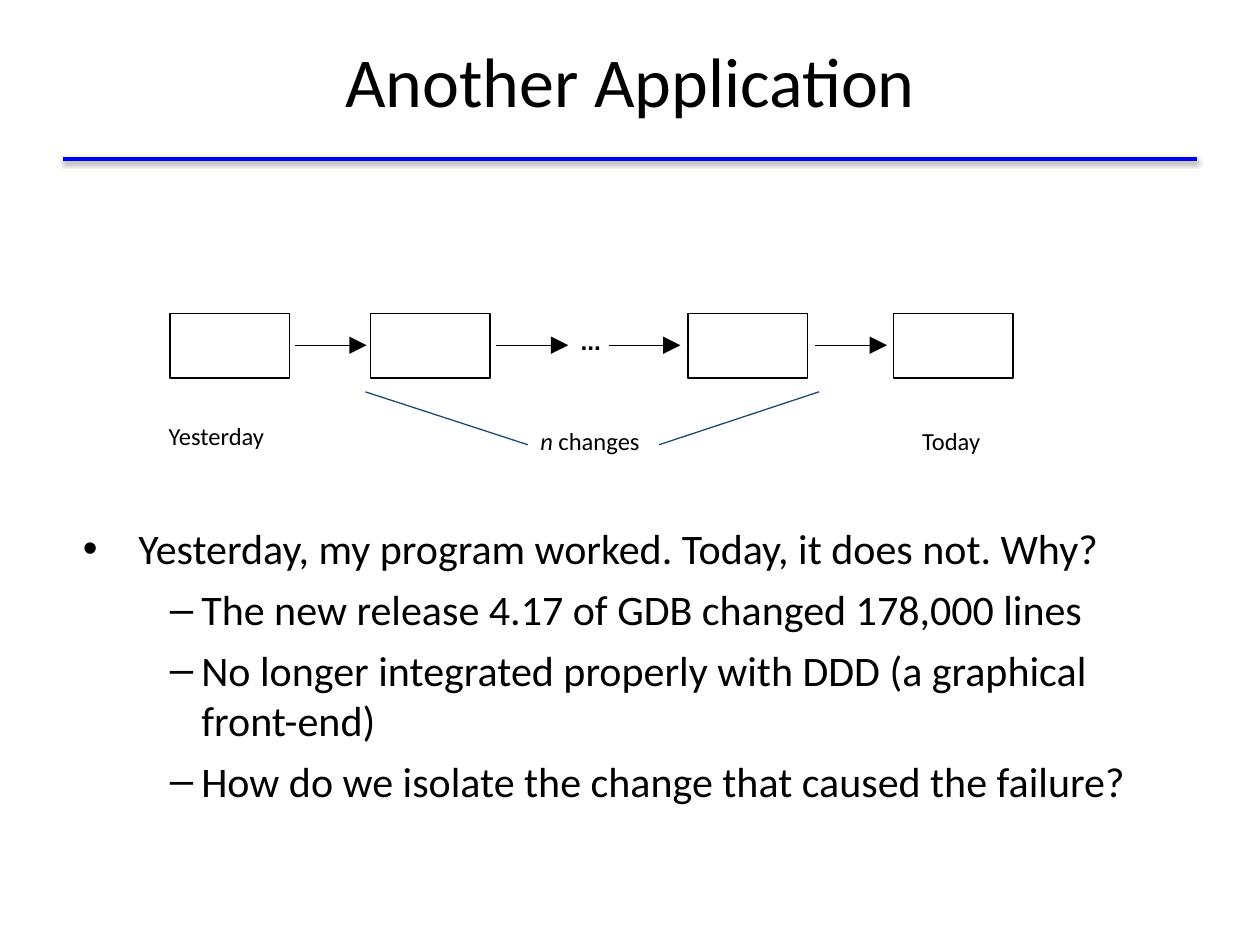
from dataclasses import dataclass
from lxml.etree import SubElement
from pptx import Presentation
from pptx.dml.color import RGBColor
from pptx.enum.shapes import MSO_CONNECTOR as Conn, MSO_SHAPE as Shape
from pptx.enum.text import MSO_ANCHOR as Anchor, PP_ALIGN as Align
from pptx.oxml.ns import qn
from pptx.util import Emu, Inches, Pt

BLACK = RGBColor(0x00, 0x00, 0x00)
WHITE = RGBColor(0xFF, 0xFF, 0xFF)
BLUE = RGBColor(0x00, 0x00, 0xFF)
NAVY = RGBColor(0x1F, 0x49, 0x7D)

prs = Presentation()
prs.slide_width, prs.slide_height = Inches(10), Inches(7.5)
COL = prs.slide_width / 10
ROW = prs.slide_height / 7.5
s = prs.slides.add_slide(prs.slide_layouts[6])


@dataclass
class Box:
    """A place on the grid, in columns and rows."""
    left: float
    top: float
    width: float
    height: float

    def emu(self) -> list[Emu]:
        return [Emu(round(n * unit)) for n, unit in
                zip((self.left, self.top, self.width, self.height), (COL, ROW, COL, ROW))]


@dataclass
class Run:
    text: str
    size: float = 14
    name: str = "Calibri"
    bold: bool = False
    italic: bool = False


@dataclass
class Bullet:
    run: Run
    level: int
    char: str
    margin: float
    indent: float


def add_run(p, run: Run) -> None:
    r = p.add_run()
    r.text = run.text
    fmt = {"name": run.name, "size": Pt(run.size), "bold": run.bold, "italic": run.italic}
    for key, value in fmt.items():
        setattr(r.font, key, value)
    r.font.color.rgb = BLACK


def add_text(box: Box, *runs: Run, align=Align.LEFT, anchor=Anchor.TOP, inset=0.1):
    tf = s.shapes.add_textbox(*box.emu()).text_frame
    fmt = {"word_wrap": True, "vertical_anchor": anchor,
           "margin_left": Inches(0.1), "margin_right": Inches(0.1),
           "margin_top": Inches(inset), "margin_bottom": Inches(inset)}
    for key, value in fmt.items():
        setattr(tf, key, value)
    tf.paragraphs[0].alignment = align
    for run in runs:
        add_run(tf.paragraphs[0], run)
    return tf


def add_bullets(box: Box, bullets: list[Bullet]) -> None:
    tf = add_text(box, inset=0.05)
    for i, b in enumerate(bullets):
        p = tf.add_paragraph() if i else tf.paragraphs[0]
        p.level = b.level
        p.space_before = Pt(5.9 if i else 0)
        pPr = p._p.get_or_add_pPr()
        pPr.set("marL", str(Inches(b.margin)))
        pPr.set("indent", str(Inches(b.indent)))
        SubElement(pPr, qn("a:buFont"), typeface="Arial")
        SubElement(pPr, qn("a:buChar"), char=b.char)
        add_run(p, b.run)


def add_line(start: tuple, end: tuple, color: RGBColor, width=0.75, arrow=False):
    """Draw a straight line without shadow and return its effect list."""
    (x1, y1), (x2, y2) = start, end
    sp = s.shapes.add_connector(Conn.STRAIGHT, *(
        Emu(round(n)) for n in (x1 * COL, y1 * ROW, x2 * COL, y2 * ROW)))
    sp.line.color.rgb, sp.line.width = color, Pt(width)
    if arrow:
        SubElement(sp.line._get_or_add_ln(), qn("a:tailEnd"), type="triangle", w="lg", len="lg")
    return SubElement(sp._element.spPr, qn("a:effectLst"))


def add_shadow(effects) -> None:
    shadow = SubElement(effects, qn("a:outerShdw"), blurRad=str(Pt(3.1)), dist=str(Pt(1.6)),
                        dir="5400000", rotWithShape="0")
    color = SubElement(shadow, qn("a:srgbClr"), val=str(BLACK))
    SubElement(color, qn("a:alpha"), val="38000")


def add_version(left: float) -> None:
    sp = s.shapes.add_shape(Shape.RECTANGLE, *Box(left, 2.49, 0.95, 0.51).emu())
    sp.shadow.inherit = False
    sp.fill.solid()
    sp.fill.fore_color.rgb = WHITE
    sp.line.color.rgb, sp.line.width = BLACK, Pt(0.75)


# Title and rule
add_shadow(add_line((0.5, 1.26), (9.5, 1.26), BLUE, width=2))
add_text(Box(0.5, 0.01, 9, 1.25), Run("Another Application", 40),
         align=Align.CENTER, anchor=Anchor.MIDDLE)

# Chain of versions
for left in (1.35, 2.94, 5.46, 7.09):
    add_version(left)
for left in (2.34, 3.94, 4.83, 6.47):
    add_line((left, 2.74), (left + 0.57, 2.74), BLACK, arrow=True)
add_text(Box(4.51, 2.49, 0.48, 0.4), Run("...", name="Arial", bold=True))

# Labels and the span of the changes
add_text(Box(1.24, 3.24, 1.18, 0.51), Run("Yesterday"))
add_text(Box(4.19, 3.28, 1.04, 0.51), Run("n", italic=True), Run(" changes"))
add_text(Box(7.22, 3.28, 0.69, 0.51), Run("Today"))
add_line((5.23, 3.53), (6.5, 3.11), NAVY)
add_line((4.19, 3.53), (2.9, 3.11), NAVY)

# Question and details
DETAILS = (
    "The new release 4.17 of GDB changed 178,000 lines",
    "No longer integrated properly with DDD (a graphical front-end)",
    "How do we isolate the change that caused the failure?",
)
question = Run("Yesterday, my program worked. Today, it does not. Why?", 24)
add_bullets(Box(0.5, 4.1, 9, 2.6), [
    Bullet(question, 0, "•", 0.5, -0.44),
    *(Bullet(Run(text, 24), 1, "–", 1, -0.25) for text in DETAILS),
])

prs.save("out.pptx")
